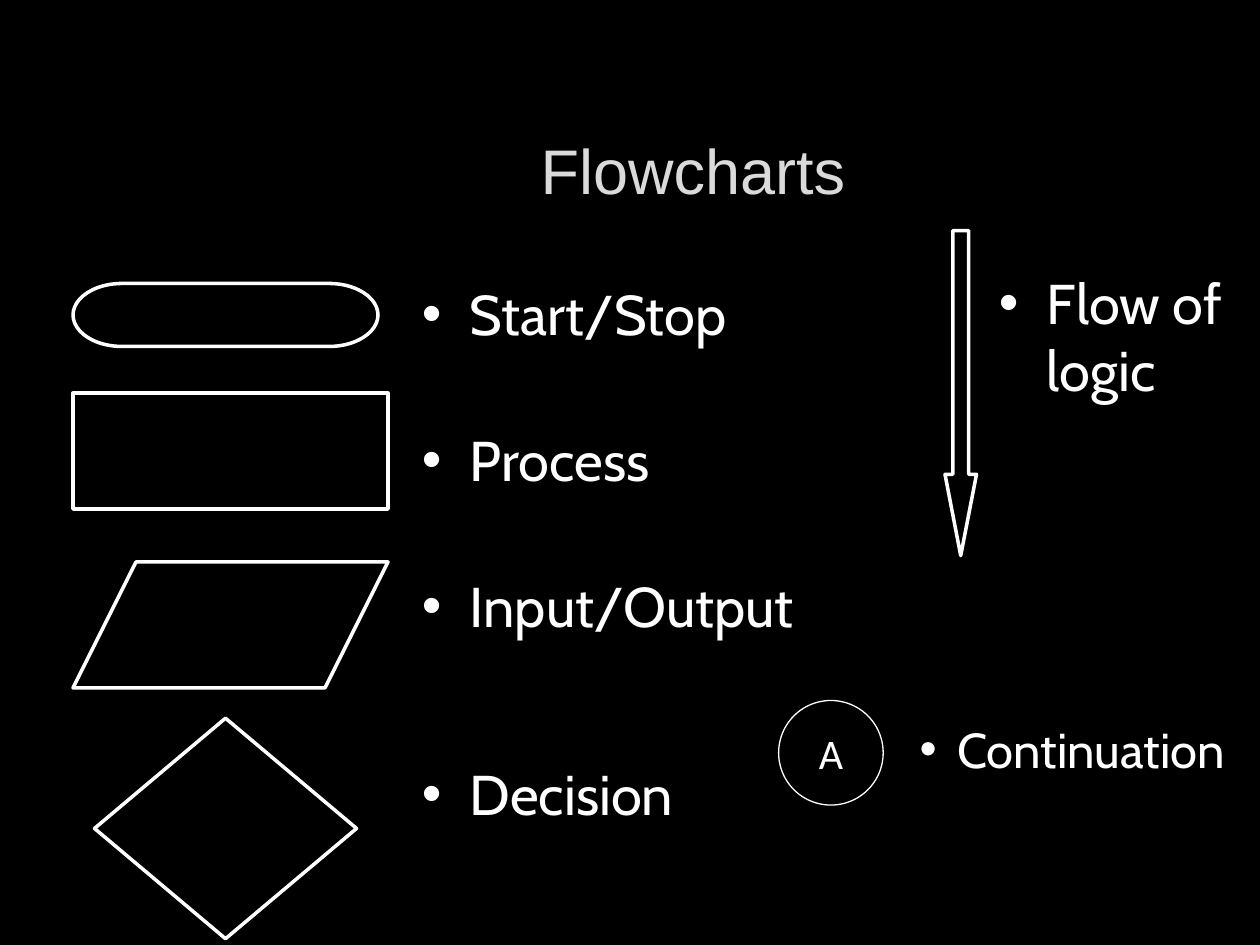
import dataclasses

import lxml.etree
import pptx
import pptx.dml.color
import pptx.enum.shapes
import pptx.enum.text
import pptx.oxml.ns
import pptx.util

Inches = pptx.util.Inches
Pt = pptx.util.Pt
SHAPE = pptx.enum.shapes.MSO_SHAPE
ALIGN = pptx.enum.text.PP_ALIGN
ANCHOR = pptx.enum.text.MSO_ANCHOR


@dataclasses.dataclass(frozen=True)
class Theme:
    back: str = "000000"
    fore: str = "FFFFFF"
    title: str = "DADADA"
    title_font: str = "Arial"
    body_font: str = "Cabin"
    label_font: str = "Calibri"
    title_size: int = 36
    body_size: int = 32
    note_size: int = 28
    label_size: int = 24
    heavy: float = 2
    thin: float = 0.75


def rgb(value):
    return pptx.dml.color.RGBColor.from_string(value)


def write(p, text, *, font, size, color, align=ALIGN.LEFT, before=0, bullet=0):
    p.alignment = align
    p.space_before = Pt(before)
    if bullet:
        pPr = p._p.get_or_add_pPr()
        pPr.set("marL", str(Inches(bullet)))
        pPr.set("indent", str(-Inches(bullet)))
        qn = pptx.oxml.ns.qn
        lxml.etree.SubElement(pPr, qn("a:buFont"), typeface="Arial")
        lxml.etree.SubElement(pPr, qn("a:buChar"), char="•")
    r = p.add_run()
    r.text = text
    r.font.name = font
    r.font.size = Pt(size)
    r.font.bold = False
    r.font.color.rgb = rgb(color)


class Deck:
    def __init__(self, theme):
        self.theme = theme
        self.prs = pptx.Presentation()
        self.prs.slide_width = Inches(10)
        self.prs.slide_height = Inches(7.5)
        self.s = None

    def slide(self):
        self.s = self.prs.slides.add_slide(self.prs.slide_layouts[5])
        fill = self.s.background.fill
        fill.solid()
        fill.fore_color.rgb = rgb(self.theme.back)

    def title(self, text, x, y, w, h):
        t = self.theme
        sp = self.s.shapes.title
        sp.left, sp.top, sp.width, sp.height = map(Inches, (x, y, w, h))
        tf = sp.text_frame
        tf.word_wrap = True
        tf.vertical_anchor = ANCHOR.MIDDLE
        tf.margin_bottom = Inches(0.62)
        write(tf.paragraphs[0], text, font=t.title_font, size=t.title_size,
              color=t.title, align=ALIGN.CENTER)

    def bullets(self, items, x, y, w, h, *, size, indent=0.38, wrap=True):
        t = self.theme
        sp = self.s.shapes.add_textbox(*map(Inches, (x, y, w, h)))
        tf = sp.text_frame
        tf.word_wrap = wrap
        for i, (text, before) in enumerate(items):
            p = tf.add_paragraph() if i else tf.paragraphs[0]
            write(p, text, font=t.body_font, size=size, color=t.fore,
                  before=before, bullet=indent)

    def symbol(self, kind, x, y, w, h, *, weight, label="", adjust=()):
        t = self.theme
        sp = self.s.shapes.add_shape(kind, *map(Inches, (x, y, w, h)))
        sp.shadow.inherit = False
        sp.fill.solid()
        sp.fill.fore_color.rgb = rgb(t.back)
        sp.line.color.rgb = rgb(t.fore)
        sp.line.width = Pt(weight)
        for i, value in enumerate(adjust):
            sp.adjustments[i] = value
        if label:
            tf = sp.text_frame
            tf.word_wrap = False
            tf.vertical_anchor = ANCHOR.MIDDLE
            write(tf.paragraphs[0], label, font=t.label_font,
                  size=t.label_size, color=t.fore, align=ALIGN.CENTER)


def main():
    theme = Theme()
    deck = Deck(theme)
    deck.slide()
    deck.title("Flowcharts", 1, 0.92, 9, 1.41)
    meanings = [("Start/Stop", 0), ("Process", 45),
                ("Input/Output", 45), ("Decision", 69)]
    deck.bullets(meanings, 3.25, 2.17, 5.17, 4.5, size=theme.body_size)

    symbols = [
        (SHAPE.FLOWCHART_TERMINATOR, 0.58, 2.25, 2.42, 0.5),
        (SHAPE.RECTANGLE, 0.58, 3.12, 2.5, 0.92),
        (SHAPE.FLOWCHART_DATA, 0.58, 4.46, 2.5, 1),
        (SHAPE.FLOWCHART_DECISION, 0.75, 5.7, 2.08, 1.75),
    ]
    for kind, *box in symbols:
        deck.symbol(kind, *box, weight=theme.heavy)

    deck.symbol(SHAPE.DOWN_ARROW, 7.5, 1.83, 0.25, 2.58,
                weight=theme.heavy, adjust=(0.5, 2.58))
    deck.bullets([("Flow of logic", 0)], 7.83, 2.08, 2.17, 2.67,
                 size=theme.body_size)
    deck.symbol(SHAPE.FLOWCHART_CONNECTOR, 6.18, 5.56, 0.83, 0.83,
                weight=theme.thin, label="A")
    deck.bullets([("Continuation", 0)], 7.2, 5.66, 2.66, 0.57,
                 size=theme.note_size, indent=0.3, wrap=False)
    deck.prs.save("out.pptx")


if __name__ == "__main__":
    main()
